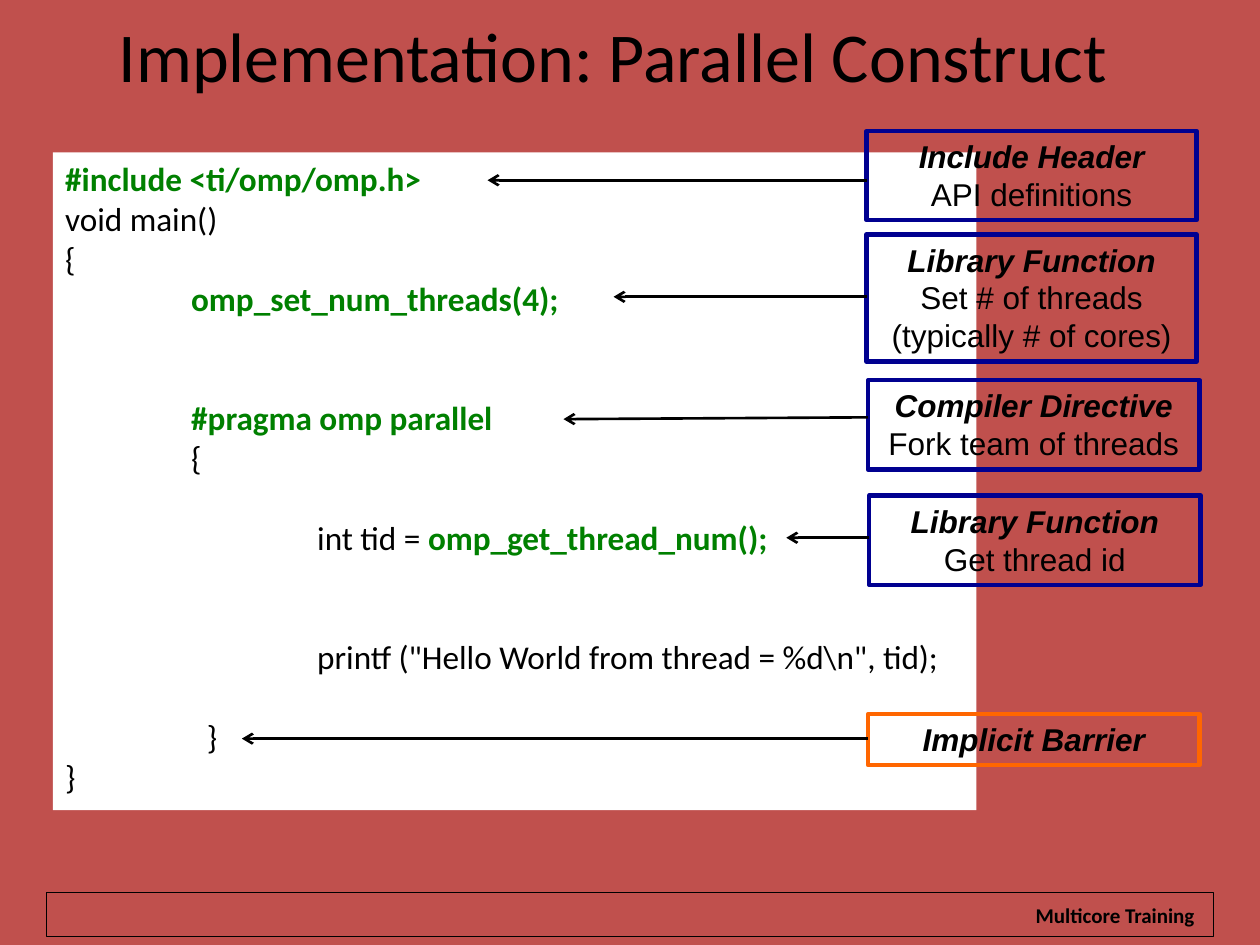
from pptx import Presentation
from pptx.dml.color import RGBColor
from pptx.enum.shapes import MSO_CONNECTOR as CONN, MSO_SHAPE as SHAPE
from pptx.enum.text import MSO_ANCHOR as ANCHOR, PP_ALIGN as ALIGN
from pptx.oxml.ns import qn
from pptx.util import Pt
from lxml.etree import SubElement

BLACK, WHITE, RED = "000000", "FFFFFF", "C0504D"
GREEN, NAVY, ORANGE = "008000", "000090", "FF6600"
LINE_HEIGHT = 22.75

# Code lines: indent, blank lines above, runs as (text, highlighted)
CODE = [
    (0, 0, [("#include <ti/omp/omp.h>", True)]),
    (0, 0, [("void main()", False)]),
    (0, 0, [("{", False)]),
    (72, 0, [("omp_set_num_threads(4);", True)]),
    (72, 2, [("#pragma omp parallel", True)]),
    (72, 0, [("{", False)]),
    (144, 1, [("int tid = ", False), ("omp_get_thread_num();", True)]),
    (144, 2, [('printf ("Hello World from thread = %d\\n", tid);', False)]),
    (81, 1, [("}", False)]),
    (0, 0, [("}", False)]),
]

# Callouts: left, top, width, height, colour, heading, detail,
# then arrow tip x, tip y, start y
CALLOUTS = [
    (495.2, 74.9, 188.6, 51, NAVY, "Include Header", "API definitions",
     278.6, 103, 103),
    (495.2, 133.9, 188.6, 72.7, NAVY, "Library Function",
     "Set # of threads (typically # of cores)", 350.6, 169.6, 169.6),
    (496, 217.3, 189.5, 51, NAVY, "Compiler Directive",
     "Fork team of threads", 322, 239.5, 238.5),
    (496.6, 283.2, 189.5, 51, NAVY, "Library Function", "Get thread id",
     449.3, 307.3, 307.3),
    (496, 408.1, 189.5, 29.1, ORANGE, "Implicit Barrier", None,
     138.2, 422.1, 422.1),
]


def rgb(value):
    return RGBColor.from_string(value)


def add_box(slide, x, y, w, h, fill=None, line=None, width=0.75):
    sp = slide.shapes.add_shape(SHAPE.RECTANGLE, Pt(x), Pt(y), Pt(w), Pt(h))
    sp.shadow.inherit = False
    if fill:
        sp.fill.solid()
        sp.fill.fore_color.rgb = rgb(fill)
    else:
        sp.fill.background()
    if line:
        sp.line.color.rgb = rgb(line)
        sp.line.width = Pt(width)
    else:
        sp.line.fill.background()
    tf = sp.text_frame
    tf.word_wrap = True
    tf.vertical_anchor = ANCHOR.TOP
    return sp


def add_run(p, text, size, font="Calibri", color=BLACK, bold=False,
            italic=False):
    r = p.add_run()
    r.text = text
    f = r.font
    f.name, f.size, f.bold, f.italic = font, Pt(size), bold, italic
    f.color.rgb = rgb(color)


def add_label(slide, x, y, w, h, text, size, bold=False, wrap=True):
    tf = slide.shapes.add_textbox(Pt(x), Pt(y), Pt(w), Pt(h)).text_frame
    tf.word_wrap = wrap
    tf.vertical_anchor = ANCHOR.MIDDLE
    p = tf.paragraphs[0]
    p.alignment = ALIGN.CENTER
    add_run(p, text, size, bold=bold)


def add_arrow(slide, x1, y1, x2, y2):
    c = slide.shapes.add_connector(CONN.STRAIGHT, Pt(x1), Pt(y1), Pt(x2), Pt(y2))
    c.line.color.rgb = rgb(BLACK)
    c.line.width = Pt(1.5)
    SubElement(c.line._get_or_add_ln(), qn("a:tailEnd"), type="arrow")
    SubElement(c._element.spPr, qn("a:effectLst"))


def add_code(slide, x, y, w, h):
    tf = add_box(slide, x, y, w, h, fill=WHITE).text_frame
    for i, (indent, gap, runs) in enumerate(CODE):
        p = tf.add_paragraph() if i else tf.paragraphs[0]
        p.alignment = ALIGN.LEFT
        p.line_spacing = Pt(LINE_HEIGHT)
        p.space_before = Pt(gap * LINE_HEIGHT)
        p._p.get_or_add_pPr().set("marL", str(Pt(indent)))
        for text, marked in runs:
            add_run(p, text, 19, color=GREEN if marked else BLACK, bold=marked)


def add_callout(slide, x, y, w, h, color, heading, detail, tip_x, tip_y, start_y):
    sp = add_box(slide, x, y, w, h, line=color, width=2.5)
    p = sp.text_frame.paragraphs[0]
    p.alignment = ALIGN.CENTER
    add_run(p, heading, 18, "Arial", bold=True, italic=True)
    if detail:
        p.add_line_break()
        add_run(p, detail, 18, "Arial")
    add_arrow(slide, x, start_y, tip_x, tip_y)


def main():
    prs = Presentation()
    prs.slide_width, prs.slide_height = Pt(720), Pt(540)
    slide = prs.slides.add_slide(prs.slide_layouts[6])
    slide.background.fill.solid()
    slide.background.fill.fore_color.rgb = rgb(RED)

    # Footer
    add_box(slide, 26.6, 509.8, 666.7, 25.2, line=BLACK)
    add_label(slide, 583.9, 511.9, 106.6, 21.6, "Multicore Training", 12,
              bold=True, wrap=False)

    # Code and its callouts
    add_code(slide, 30.2, 87.1, 527.8, 375.8)
    for callout in CALLOUTS:
        add_callout(slide, *callout)

    # Title
    add_label(slide, 18, 12.2, 664.6, 38.2,
              "Implementation: Parallel Construct", 40)
    prs.save("out.pptx")


main()
